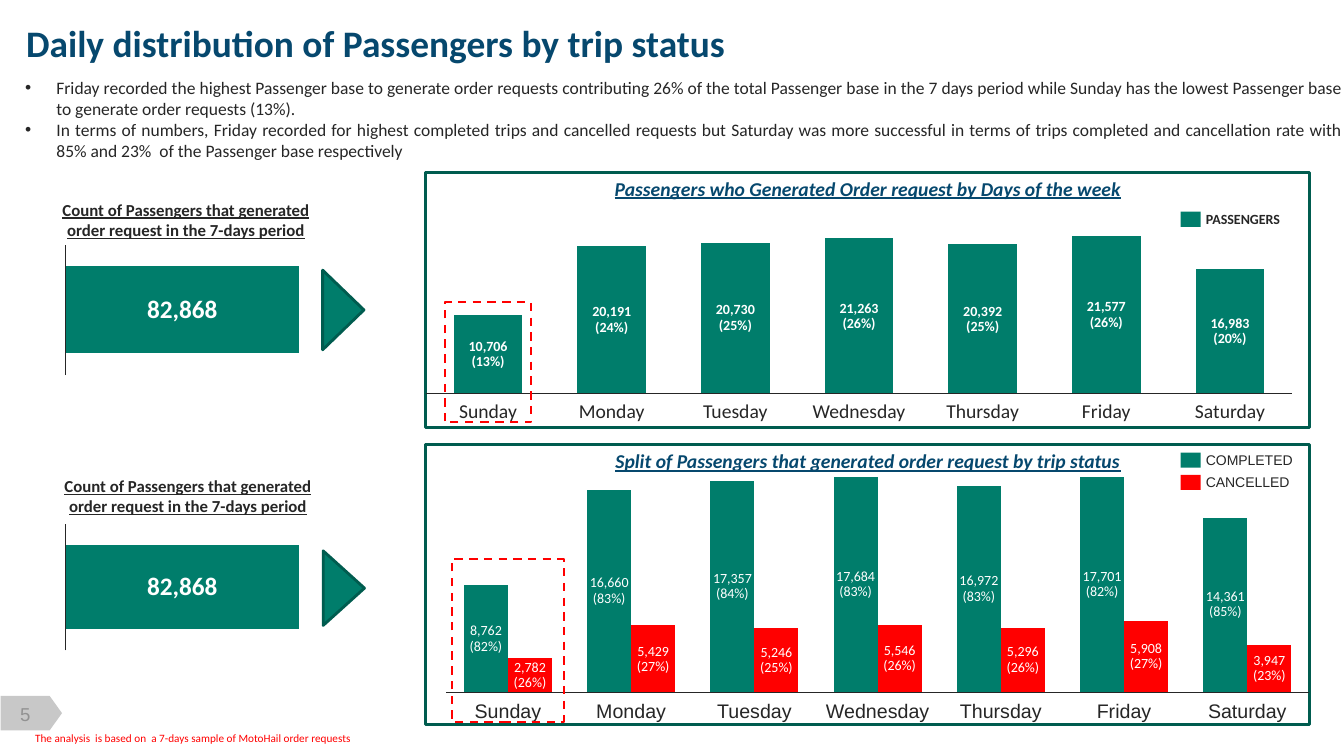
from copy import deepcopy
from dataclasses import dataclass

from lxml.etree import SubElement
from pptx import Presentation
from pptx.chart.data import CategoryChartData
from pptx.dml.color import RGBColor
from pptx.enum.chart import XL_CHART_TYPE, XL_LABEL_POSITION, XL_TICK_LABEL_POSITION, XL_TICK_MARK
from pptx.enum.dml import MSO_LINE
from pptx.enum.shapes import MSO_SHAPE
from pptx.enum.text import MSO_ANCHOR, PP_ALIGN
from pptx.oxml.ns import qn
from pptx.util import Emu, Inches, Pt


@dataclass(frozen=True)
class Theme:
    green: str = "007D6B"
    dark_green: str = "005C4F"
    red: str = "FF0000"
    navy: str = "06486E"
    ink: str = "262626"
    white: str = "FFFFFF"
    badge: str = "C8C8C8"
    badge_text: str = "929292"
    body: str = "Calibri"
    plain: str = "Arial"
    title_size: float = 26.7
    total_size: float = 18
    heading_size: float = 14
    number_size: float = 13.3
    bullet_size: float = 12.5
    caption_size: float = 12
    label_size: float = 10
    note_size: float = 8


THEME = Theme()
CELL = Inches(0.1)
COLUMNS, ROWS = 133.3, 75
DAYS = ["Sunday", "Monday", "Tuesday", "Wednesday", "Thursday", "Friday", "Saturday"]
TOTAL = 82868
PASSENGERS = [10706, 20191, 20730, 21263, 20392, 21577, 16983]
COMPLETED = [8762, 16660, 17357, 17684, 16972, 17701, 14361]
CANCELLED = [2782, 5429, 5246, 5546, 5296, 5908, 3947]
BULLETS = [
    "Friday recorded the highest Passenger base to generate order requests contributing 26% of the total "
    "Passenger base in the 7 days period while Sunday has the lowest Passenger base to generate order "
    "requests (13%).",
    "In terms of numbers, Friday recorded for highest completed trips and cancelled requests but Saturday "
    "was more successful in terms of trips completed and cancellation rate with 85% and 23%  of the "
    "Passenger base respectively",
]
CAPTION = "Count of Passengers that generated order request in the 7-days period"


def cells(count):
    return Emu(round(count * CELL))


def place(*box):
    return [cells(count) for count in box]


def color(code):
    return RGBColor.from_string(code)


def write(frame, text, size=THEME.label_size, ink=THEME.ink, font=THEME.body, bold=False, italic=False,
          underline=False, align=PP_ALIGN.LEFT, anchor=MSO_ANCHOR.TOP, wrap=True, inset=0, spacing=None):
    """Fill a text frame; a list of texts gives several paragraphs, inset None keeps the default margins."""
    frame.word_wrap, frame.vertical_anchor = wrap, anchor
    if inset is not None:
        frame.margin_left = frame.margin_right = cells(inset)
        frame.margin_top = frame.margin_bottom = 0
    for index, line in enumerate([text] if isinstance(text, str) else text):
        para = frame.add_paragraph() if index else frame.paragraphs[0]
        para.text, para.alignment, para.line_spacing = line, align, spacing
        for span in para.runs:
            span.font.name, span.font.size = font, Pt(size)
            span.font.bold, span.font.italic, span.font.underline = bold, italic, underline
            span.font.color.rgb = color(ink)
        for line_break in para._p.findall(qn("a:br")):
            line_break.insert(0, deepcopy(para.runs[0]._r.rPr))


def add_text(page, box, text, **style):
    frame = page.shapes.add_textbox(*place(*box)).text_frame
    write(frame, text, **style)
    return frame


def add_centred(page, middle, top, width, height, text, **style):
    add_text(page, (middle - width / 2, top, width, height), text, align=PP_ALIGN.CENTER, wrap=False, **style)


def add_figure(page, kind, box, fill=None, line=None, width=2, dash=None, turn=0):
    figure = page.shapes.add_shape(kind, *place(*box))
    figure.shadow.inherit = False
    figure.rotation = turn
    if fill:
        figure.fill.solid()
        figure.fill.fore_color.rgb = color(fill)
    else:
        figure.fill.background()
    if line:
        figure.line.color.rgb, figure.line.width = color(line), Pt(width)
        figure.line.dash_style = dash
    else:
        figure.line.fill.background()
    return figure


def add_bars(page, kind, box, plot, categories, series, top, gap, overlap=0):
    """Add a bare bar chart; plot is its inner area as shares, series holds (name, values, fill)."""
    data = CategoryChartData(number_format="#,##0")
    data.categories = categories
    for name, values, _ in series:
        data.add_series(name, values)
    chart = page.shapes.add_chart(kind, *place(*box), data).chart
    chart.has_legend = chart.has_title = False
    chart.font.name, chart.font.size = THEME.plain, Pt(THEME.label_size)
    chart.font.color.rgb = color(THEME.ink)
    chart.value_axis.minimum_scale, chart.value_axis.maximum_scale = 0, top
    chart.value_axis.has_major_gridlines = chart.value_axis.visible = False
    axis = chart.category_axis
    axis.tick_label_position = XL_TICK_LABEL_POSITION.NONE
    axis.major_tick_mark = axis.minor_tick_mark = XL_TICK_MARK.NONE
    axis.format.line.color.rgb, axis.format.line.width = color(THEME.ink), Pt(0.75)
    bars = chart.plots[0]
    bars.gap_width, bars.overlap, bars.vary_by_categories = gap, overlap, False
    for drawn, (_, _, fill) in zip(bars.series, series):
        drawn.format.fill.solid()
        drawn.format.fill.fore_color.rgb = color(fill)
    set_plot_area(chart, plot)
    return chart


def set_plot_area(chart, plot):
    """Fix the inner plot area and make the chart background clear."""
    root = chart._chartSpace
    area = root.find(".//" + qn("c:plotArea"))
    for old in area.findall(qn("c:layout")):
        area.remove(old)
    layout = SubElement(area, qn("c:layout"))
    area.insert(0, layout)
    manual = SubElement(layout, qn("c:manualLayout"))
    settings = [("layoutTarget", "inner"), ("xMode", "edge"), ("yMode", "edge"), *zip("xywh", plot)]
    for tag, value in settings:
        SubElement(manual, qn("c:" + tag)).set("val", str(value))
    clear = SubElement(root, qn("c:spPr"))
    SubElement(clear, qn("a:noFill"))
    SubElement(SubElement(clear, qn("a:ln")), qn("a:noFill"))
    root.find(qn("c:chart")).addnext(clear)


def add_daily_chart(page, kind, box, plot, series, overlap=0):
    """Columns per day, indexed to the tallest as 100; series holds (name, counts, bases, fill)."""
    tallest = max(max(counts) for _, counts, _, _ in series)
    indexed = [(name, [round(100 * count / tallest) for count in counts], fill)
               for name, counts, _, fill in series]
    add_bars(page, kind, box, plot, DAYS, indexed, top=100, gap=80, overlap=overlap)
    left, top, width, height = box
    slot = width * plot[2] / len(DAYS)
    middles = [left + width * plot[0] + slot * (day + 0.5) for day in range(len(DAYS))]
    bottom = top + height * (plot[1] + plot[3])
    bar = slot / (len(series) + 0.8)
    for order, (_, counts, bases, _) in enumerate(series):
        shift = (order - (len(series) - 1) / 2) * bar
        for middle, count, base in zip(middles, counts, bases):
            centre = bottom - height * plot[3] * count / tallest / 2
            add_centred(page, middle + shift, centre - 1.5, 5, 3, f"{count:,}\n({count / base:.0%})",
                        ink=THEME.white, bold=len(series) == 1, anchor=MSO_ANCHOR.MIDDLE,
                        inset=0.2, spacing=0.9)
    return middles


def add_day_names(page, middles, top, font):
    for middle, day in zip(middles, DAYS):
        add_centred(page, middle, top, 12, 2.3, day, size=THEME.heading_size, font=font)


def add_total(page, top, height, caption_box, arrow_box):
    chart = add_bars(page, XL_CHART_TYPE.BAR_STACKED, (-4.8, top, 45.3, height), (0.25, 0.06, 0.51, 0.88),
                     ["1"], [("Passengers", [TOTAL], THEME.green)], top=TOTAL, gap=50, overlap=100)
    labels = chart.plots[0].series[0].data_labels
    labels.show_value, labels.position = True, XL_LABEL_POSITION.CENTER
    labels.number_format, labels.number_format_is_linked = "#,##0", False
    labels.font.name, labels.font.size, labels.font.bold = THEME.body, Pt(THEME.total_size), True
    labels.font.color.rgb = color(THEME.white)
    labels._element.find(qn("c:txPr")).find(qn("a:bodyPr")).set("wrap", "none")
    add_figure(page, MSO_SHAPE.ISOSCELES_TRIANGLE, arrow_box, THEME.green, THEME.dark_green, turn=90)
    add_text(page, caption_box, CAPTION, size=THEME.caption_size, bold=True, underline=True,
             align=PP_ALIGN.CENTER)


def add_panel(page, top, height, heading):
    banner = add_figure(page, MSO_SHAPE.RECTANGLE, (42.3, top + 0.15, 87.6, 2.9), THEME.white)
    write(banner.text_frame, heading, size=THEME.heading_size, ink=THEME.navy, bold=True, italic=True,
          underline=True, align=PP_ALIGN.CENTER, anchor=MSO_ANCHOR.MIDDLE, inset=None)
    add_figure(page, MSO_SHAPE.RECTANGLE, (42.2, top, 87.65, height), line=THEME.dark_green)


def add_key(page, top, name, fill, **style):
    add_figure(page, MSO_SHAPE.RECTANGLE, (117.1, top, 2, 1.5), fill)
    add_text(page, (119.6, top - 0.1, 10, 1.7), name, anchor=MSO_ANCHOR.MIDDLE, wrap=False, **style)


def add_highlight(page, box):
    add_figure(page, MSO_SHAPE.RECTANGLE, box, line=THEME.red, width=1.5, dash=MSO_LINE.DASH)


def add_bullets(page):
    frame = add_text(page, (2.5, 7.6, 130.6, 8.6), BULLETS, size=THEME.bullet_size, align=PP_ALIGN.JUSTIFY)
    for para in frame.paragraphs:
        settings = para._p.get_or_add_pPr()
        settings.set("marL", str(cells(3.1)))
        settings.set("indent", str(-cells(3.1)))
        SubElement(settings, qn("a:buFont")).set("typeface", THEME.plain)
        SubElement(settings, qn("a:buChar")).set("char", "•")


def main():
    deck = Presentation()
    deck.slide_width, deck.slide_height = place(COLUMNS, ROWS)
    page = deck.slides.add_slide(deck.slide_layouts[6])
    add_figure(page, MSO_SHAPE.FLOWCHART_OFFPAGE_CONNECTOR, (1.4, 67.7, 3.4, 6.1), THEME.badge, turn=270)
    add_text(page, (0.3, 69.7, 4.4, 2.2), "5", size=THEME.number_size, ink=THEME.badge_text,
             font=THEME.plain, align=PP_ALIGN.CENTER, anchor=MSO_ANCHOR.MIDDLE)
    add_text(page, (1.6, 1.5, 130.1, 5.5), "Daily distribution of Passengers by trip status",
             size=THEME.title_size, ink=THEME.navy, bold=True, inset=None)
    add_bullets(page)

    add_panel(page, 17.1, 25.3, "Passengers who Generated Order request by Days of the week")
    middles = add_daily_chart(page, XL_CHART_TYPE.COLUMN_STACKED, (41.4, 22.6, 87.6, 17.3),
                              (0.01, 0.05, 0.98, 0.9),
                              [("PASSENGERS", PASSENGERS, [TOTAL] * len(DAYS), THEME.green)], overlap=100)
    add_day_names(page, middles, 39.6, THEME.body)
    add_key(page, 21, "PASSENGERS", THEME.green, bold=True)
    add_highlight(page, (44.1, 30, 8.6, 11.9))

    add_panel(page, 44.1, 27.8, "Split of Passengers that generated order request by trip status")
    middles = add_daily_chart(page, XL_CHART_TYPE.COLUMN_CLUSTERED, (43.4, 46.4, 87.3, 23.2),
                              (0.01, 0.04, 0.98, 0.92),
                              [("COMPLETED", COMPLETED, PASSENGERS, THEME.green),
                               ("CANCELLED", CANCELLED, PASSENGERS, THEME.red)])
    add_day_names(page, middles, 69.3, THEME.plain)
    add_key(page, 44.9, "COMPLETED", THEME.green, font=THEME.plain)
    add_key(page, 47.1, "CANCELLED", THEME.red, font=THEME.plain)
    add_highlight(page, (44.8, 55.5, 11.1, 16.1))

    add_total(page, 23.4, 14.7, (5.8, 19.8, 25.3, 5.9), (30.1, 28.7, 7.9, 4.1))
    add_total(page, 51.1, 14.3, (6, 47.2, 25.3, 6), (30.4, 56.3, 7.4, 4.1))
    add_text(page, (2.5, 72.1, 43.4, 2.4), "The analysis  is based on  a 7-days sample of MotoHail order requests",
             size=THEME.note_size, ink=THEME.red, inset=None)
    deck.save("out.pptx")


if __name__ == "__main__":
    main()
